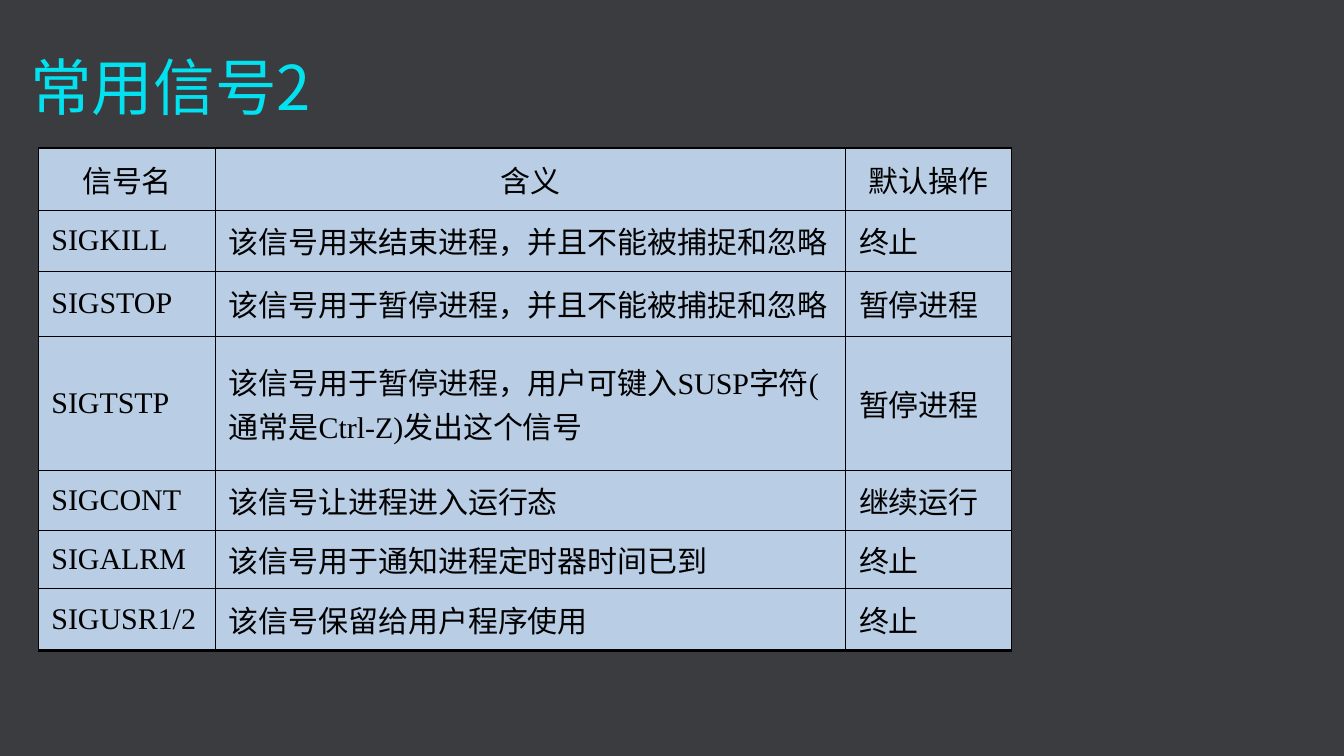
from dataclasses import dataclass

from lxml import etree
from pptx import Presentation
from pptx.dml.color import RGBColor
from pptx.enum.text import MSO_ANCHOR, PP_ALIGN
from pptx.oxml.ns import qn
from pptx.util import Inches, Pt

TOP, MIDDLE = MSO_ANCHOR.TOP, MSO_ANCHOR.MIDDLE
LEFT, CENTER = PP_ALIGN.LEFT, PP_ALIGN.CENTER
TITLE_ONLY = 5


@dataclass(frozen=True)
class Theme:
    """Colours, fonts and type sizes of the slide."""

    background: str = "3A3C3F"
    title: str = "01E1EF"
    cell: str = "B9CDE5"
    ink: str = "000000"
    chinese_font: str = "Noto Sans CJK SC"
    latin_font: str = "Times New Roman"
    title_size: float = 44
    table_size: float = 21.4


THEME = Theme()
COLUMN_WIDTHS = [1.76, 6.25, 1.64]
ROW_HEIGHTS = [0.62, 0.6, 0.65, 0.9, 0.6, 0.57, 0.62]
SIGNALS = [
    ("信号名", "含义", "默认操作"),
    ("SIGKILL", "该信号用来结束进程，并且不能被捕捉和忽略", "终止"),
    ("SIGSTOP", "该信号用于暂停进程，并且不能被捕捉和忽略", "暂停进程"),
    ("SIGTSTP", "该信号用于暂停进程，用户可键入SUSP字符(\n通常是Ctrl-Z)发出这个信号", "暂停进程"),
    ("SIGCONT", "该信号让进程进入运行态", "继续运行"),
    ("SIGALRM", "该信号用于通知进程定时器时间已到", "终止"),
    ("SIGUSR1/2", "该信号保留给用户程序使用", "终止"),
]


def style_paragraph(paragraph, latin_font, size, color, alignment, indent):
    """Set the fonts, colour, alignment and hanging indent of a paragraph."""
    paragraph.alignment = alignment
    font = paragraph.font
    font.name, font.size, font.bold = latin_font, Pt(size), False
    font.color.rgb = RGBColor.from_string(color)
    properties = paragraph._p.get_or_add_pPr()
    properties.set("marL", str(Inches(indent)))
    properties.set("indent", str(Inches(-indent)))
    east_asian = etree.Element(qn("a:ea"), typeface=THEME.chinese_font)
    properties.find(qn("a:defRPr")).find(qn("a:latin")).addnext(east_asian)


def set_borders(cell, widths):
    """Draw the cell's borders from a mapping of side to width in points."""
    properties = cell._tc.get_or_add_tcPr()
    for side, width in widths.items():
        line = etree.SubElement(properties, qn(f"a:ln{side}"), w=str(Pt(width)))
        fill = etree.SubElement(line, qn("a:solidFill"))
        etree.SubElement(fill, qn("a:srgbClr"), val=THEME.ink)


def add_title(slide, text, left, top, width, height):
    """Place the slide title in the given box."""
    title = slide.shapes.title
    title.left, title.top = Inches(left), Inches(top)
    title.width, title.height = Inches(width), Inches(height)
    frame = title.text_frame
    frame.text = text
    frame.vertical_anchor = TOP
    style_paragraph(frame.paragraphs[0], THEME.chinese_font, THEME.title_size, THEME.title, LEFT, 0.38)


def fill_cell(cell, text, alignment, borders):
    """Write and format one table cell."""
    cell.text = text
    cell.vertical_anchor = MIDDLE
    cell.margin_left = cell.margin_right = Inches(0.13)
    cell.margin_top = cell.margin_bottom = Inches(0.07)
    set_borders(cell, borders)
    cell.fill.solid()
    cell.fill.fore_color.rgb = RGBColor.from_string(THEME.cell)
    for paragraph in cell.text_frame.paragraphs:
        style_paragraph(paragraph, THEME.latin_font, THEME.table_size, THEME.ink, alignment, 0.3)


def add_signal_table(slide, left, top):
    """Add the table of signals with its top left corner at the given point."""
    last_row, last_column = len(ROW_HEIGHTS) - 1, len(COLUMN_WIDTHS) - 1
    table = slide.shapes.add_table(
        len(ROW_HEIGHTS), len(COLUMN_WIDTHS), Inches(left), Inches(top),
        Inches(sum(COLUMN_WIDTHS)), Inches(sum(ROW_HEIGHTS)),
    ).table
    table.first_row = table.horz_banding = False
    for column, width in zip(table.columns, COLUMN_WIDTHS):
        column.width = Inches(width)
    for row, height in zip(table.rows, ROW_HEIGHTS):
        row.height = Inches(height)
    for row_index, signal in enumerate(SIGNALS):
        for column_index, text in enumerate(signal):
            borders = {
                "L": 0.75 if column_index == 0 else 1,
                "R": 0.75 if column_index == last_column else 1,
                "T": 2 if row_index == 0 else 1,
                "B": 2 if row_index == last_row else 1,
            }
            alignment = CENTER if row_index == 0 else LEFT
            fill_cell(table.cell(row_index, column_index), text, alignment, borders)


def main():
    """Build the slide and save it."""
    presentation = Presentation()
    presentation.slide_width, presentation.slide_height = Inches(13.33), Inches(7.5)
    slide = presentation.slides.add_slide(presentation.slide_layouts[TITLE_ONLY])
    background = slide.background.fill
    background.solid()
    background.fore_color.rgb = RGBColor.from_string(THEME.background)
    add_title(slide, "常用信号2", 0.2, 0.44, 11.34, 0.55)
    add_signal_table(slide, 0.38, 1.47)
    presentation.save("out.pptx")


if __name__ == "__main__":
    main()
